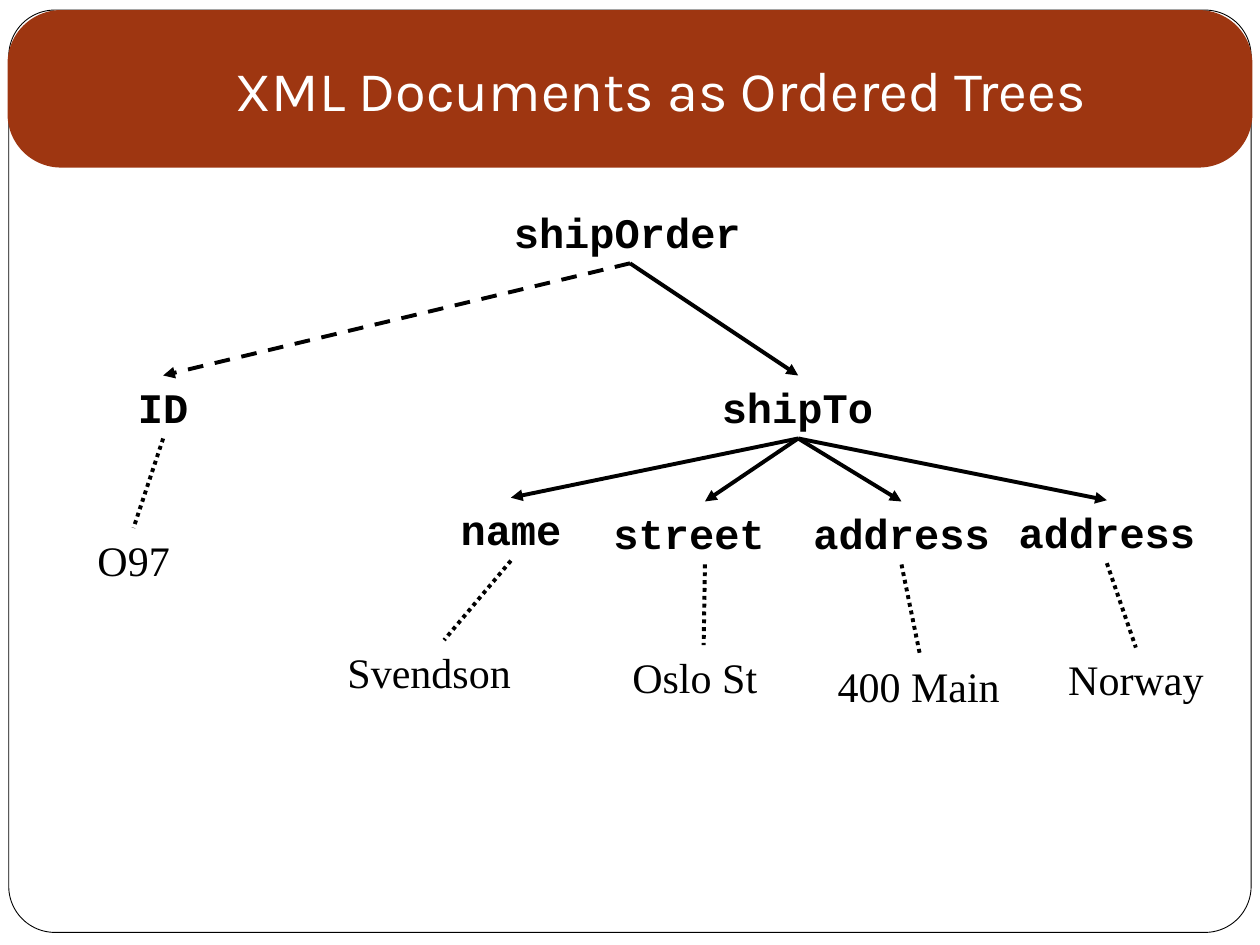
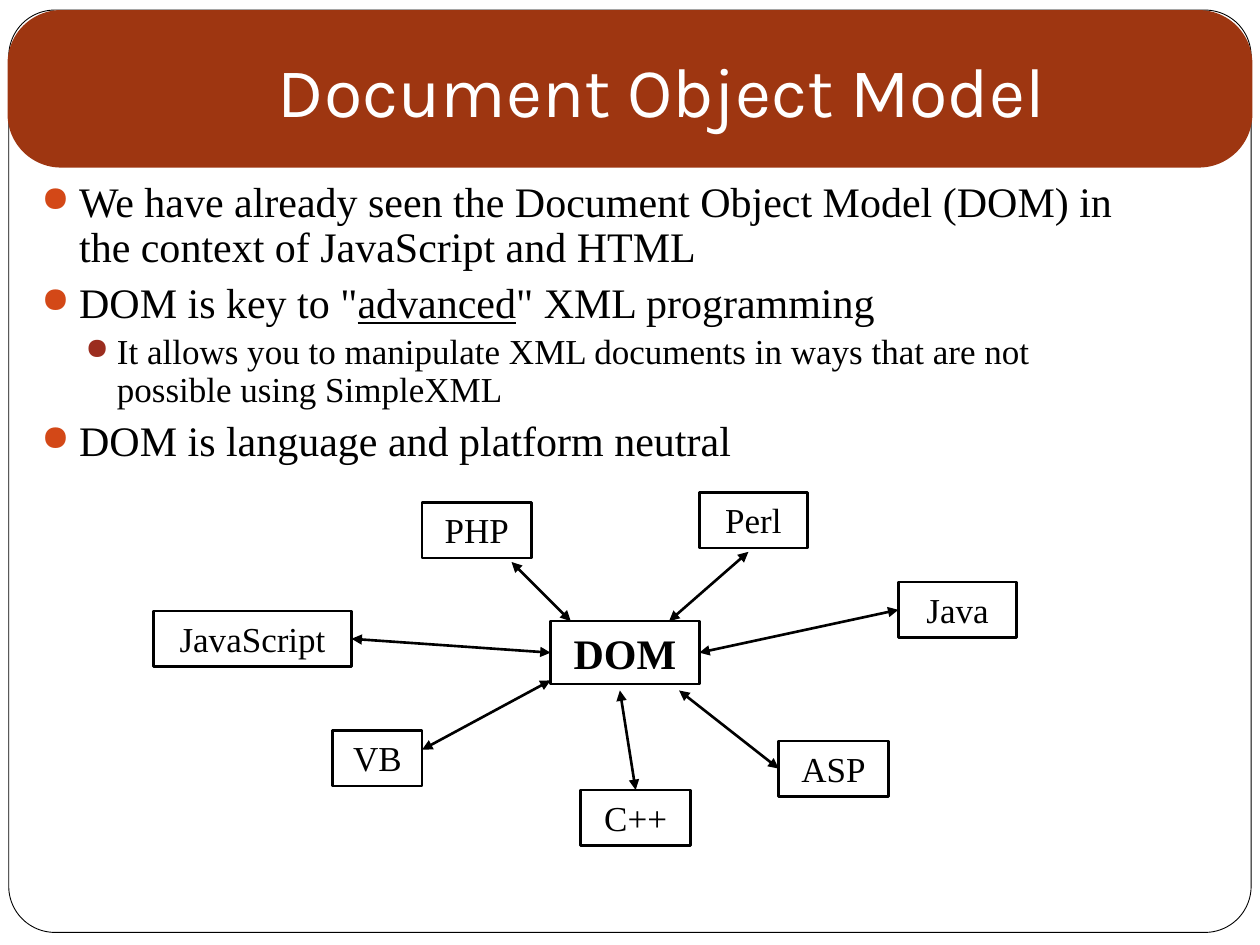
from dataclasses import dataclass
from typing import Any, NamedTuple, Optional

import lxml.etree
import pptx
import pptx.dml.color
import pptx.enum.dml
import pptx.enum.shapes
import pptx.enum.text
import pptx.oxml.ns
import pptx.util

SCALE = 9144  # EMU in one px, 100 px to the inch
TOP, LEFT, BOTTOM, RIGHT = range(4)

Align = pptx.enum.text.PP_ALIGN
Dash = pptx.enum.dml.MSO_LINE
Form = pptx.enum.shapes.MSO_SHAPE


@dataclass(frozen=True)
class Theme:
    ink: str = "000000"
    paper: str = "FFFFFF"
    band: str = "9E3611"
    dots: tuple[str, str] = ("D34817", "9B2D1F")
    head: str = "Karla"
    body: str = "Times New Roman"
    code: str = "Courier New"
    large: int = 24
    small: int = 20
    frame: float = 0.5
    thin: float = 1.5
    thick: float = 2.25


THEME = Theme()


class Area(NamedTuple):
    x: int
    y: int
    w: int
    h: int


class Node(NamedTuple):
    """A tree label; a leaf holds a value, any other node a tag."""
    key: str
    text: str
    area: Area
    above: str = ""
    leaf: bool = False
    align: Any = Align.CENTER
    dash: Any = None


class Box(NamedTuple):
    text: str
    area: Area


class Link(NamedTuple):
    """A two-way arrow; a named box and side join that end."""
    start: tuple[int, int]
    end: tuple[int, int]
    tail: Optional[tuple[str, int]] = None
    tip: Optional[tuple[str, int]] = None


class Point(NamedTuple):
    words: tuple[str, ...]
    level: int = 0


FRAME = Area(7, 8, 986, 732)
BAND = Area(6, 8, 988, 125)
TITLE = Area(100, 11, 850, 125)
LIST = Area(23, 139, 900, 276)

NODES = [
    Node("order", "shipOrder", Area(398, 159, 204, 50), align=Align.LEFT),
    Node("id", "ID", Area(43, 298, 173, 50), "order", dash=Dash.DASH),
    Node("to", "shipTo", Area(563, 298, 141, 50), "order", align=Align.LEFT),
    Node("name", "name", Area(311, 395, 189, 50), "to"),
    Node("street", "street", Area(477, 398, 165, 50), "to", align=Align.LEFT),
    Node("first", "address", Area(633, 398, 165, 50), "to"),
    Node("last", "address", Area(796, 397, 165, 50), "to"),
    Node("code", "O97", Area(35, 419, 142, 50), "id", True),
    Node("who", "Svendson", Area(266, 508, 173, 50), "name", True, Align.LEFT),
    Node("road", "Oslo St", Area(492, 512, 133, 50), "street", True, Align.LEFT),
    Node("house", "400 Main", Area(655, 519, 150, 50), "first", True, Align.LEFT),
    Node("land", "Norway", Area(811, 514, 181, 50), "last", True),
]

POINTS = [
    Point(("We have already seen the Document Object Model (DOM) in "
           "the context of JavaScript and HTML",)),
    Point(('DOM is key to "', "advanced", '" XML programming')),
    Point(("It allows you to manipulate XML documents in ways that are not "
           "possible using SimpleXML",), 1),
    Point(("DOM is language and platform neutral",)),
]

HUB = Box("DOM", Area(437, 493, 118, 50))
BOXES = [
    HUB,
    Box("PHP", Area(335, 399, 87, 44)),
    Box("ASP", Area(618, 588, 87, 44)),
    Box("Java", Area(713, 462, 94, 44)),
    Box("JavaScript", Area(122, 485, 157, 44)),
    Box("C++", Area(461, 627, 87, 44)),
    Box("VB", Area(264, 580, 71, 44)),
    Box("Perl", Area(555, 391, 86, 44)),
]

LINKS = [
    Link((406, 446), (453, 493)),
    Link((492, 548), (508, 627), tip=("C++", TOP)),
    Link((335, 595), (437, 540)),
    Link((280, 509), (437, 517), ("JavaScript", RIGHT), ("DOM", LEFT)),
    Link((539, 548), (618, 611), tip=("ASP", LEFT)),
    Link((713, 485), (555, 517), ("Java", LEFT), ("DOM", RIGHT)),
    Link((594, 438), (531, 493)),
]


def px(*marks: int) -> list[int]:
    return [mark * SCALE for mark in marks]


def tint(code: str) -> Any:
    return pptx.dml.color.RGBColor.from_string(code)


def add(root: Any, tag: str, **attrs: str) -> Any:
    return lxml.etree.SubElement(root, pptx.oxml.ns.qn(tag), attrs)


def write(para: Any, text: str, *, size: int = THEME.large, font: str = THEME.body,
          ink: str = THEME.ink, bold: bool = False, under: bool = False,
          align: Any = None) -> None:
    """Add one run of formatted text to a paragraph."""
    if align is not None:
        para.alignment = align
    run = para.add_run()
    run.text = text
    run.font.size = pptx.util.Pt(size)
    run.font.name = font
    run.font.bold = bold
    run.font.underline = under
    run.font.color.rgb = tint(ink)


def label(slide: Any, area: Area, text: str, **style: Any) -> Any:
    box = slide.shapes.add_textbox(*px(*area))
    box.text_frame.word_wrap = True
    write(box.text_frame.paragraphs[0], text, **style)
    return box


def shape(slide: Any, form: Any, area: Area, fill: str = "", line: float = 0) -> Any:
    item = slide.shapes.add_shape(form, *px(*area))
    item.shadow.inherit = False
    if fill:
        item.fill.solid()
        item.fill.fore_color.rgb = tint(fill)
    else:
        item.fill.background()
    if line:
        item.line.color.rgb = tint(THEME.ink)
        item.line.width = pptx.util.Pt(line)
    else:
        item.line.fill.background()
    return item


def wire(slide: Any, start: tuple[int, int], end: tuple[int, int], width: float,
         *, dash: Any = None, head: bool = False, tail: bool = False) -> Any:
    kind = pptx.enum.shapes.MSO_CONNECTOR.STRAIGHT
    item = slide.shapes.add_connector(kind, *px(*start, *end))
    item.line.color.rgb = tint(THEME.ink)
    item.line.width = pptx.util.Pt(width)
    if dash is not None:
        item.line.dash_style = dash
    for tag, shown in (("a:headEnd", head), ("a:tailEnd", tail)):
        if shown:
            add(item.get_or_add_ln(), tag, type="triangle")
    add(item.element.spPr, "a:effectLst")
    return item


def begin(deck: Any, title: str, size: int) -> Any:
    """Add a slide with the shared frame, band and title."""
    slide = deck.slides.add_slide(deck.slide_layouts[6])
    shape(slide, Form.ROUNDED_RECTANGLE, FRAME, THEME.paper,
          THEME.frame).adjustments[0] = 0.05
    shape(slide, Form.ROUNDED_RECTANGLE, BAND, THEME.band).adjustments[0] = 0.34
    box = label(slide, TITLE, title, size=size, font=THEME.head,
                ink=THEME.paper, align=Align.CENTER)
    box.text_frame.vertical_anchor = pptx.enum.text.MSO_ANCHOR.MIDDLE
    box.text_frame.margin_bottom = 10 * SCALE
    return slide


def tree(slide: Any) -> None:
    spots = {}
    for node in NODES:
        font = THEME.body if node.leaf else THEME.code
        spots[node.key] = label(slide, node.area, node.text, font=font,
                                bold=not node.leaf, align=node.align)
    for node in NODES:
        if node.above:
            dash = Dash.ROUND_DOT if node.leaf else node.dash
            item = wire(slide, (0, 0), (0, 0), THEME.thick, dash=dash,
                        tail=not node.leaf)
            item.begin_connect(spots[node.above], BOTTOM)
            item.end_connect(spots[node.key], TOP)


def bullet(para: Any, level: int) -> None:
    indent, hang = ((30, 30), (60, 25))[level]
    para.level = level
    props = para._p.get_or_add_pPr()
    props.set("marL", str(indent * SCALE))
    props.set("indent", str(-hang * SCALE))
    add(add(props, "a:buClr"), "a:srgbClr", val=THEME.dots[level])
    add(props, "a:buSzPct", val="85000")
    add(props, "a:buChar", char="●")


def points(slide: Any) -> None:
    frame = slide.shapes.add_textbox(*px(*LIST)).text_frame
    frame.word_wrap = True
    for row, point in enumerate(POINTS):
        para = frame.add_paragraph() if row else frame.paragraphs[0]
        bullet(para, point.level)
        para.line_spacing = 0.9
        if row:
            para.space_before = pptx.util.Pt((5.8, 3.7)[point.level])
        for words in point.words:
            write(para, words, size=(THEME.large, THEME.small)[point.level],
                  under=words == "advanced")


def hub(slide: Any) -> None:
    """Draw the DOM box, the languages round it and their arrows."""
    spots = {}
    for box in BOXES:
        item = shape(slide, Form.RECTANGLE, box.area, line=THEME.thin)
        frame = item.text_frame
        frame.word_wrap = True
        frame.vertical_anchor = pptx.enum.text.MSO_ANCHOR.TOP
        main = box is HUB
        write(frame.paragraphs[0], box.text, bold=main, align=Align.CENTER,
              size=THEME.large if main else THEME.small)
        spots[box.text] = item
    for link in LINKS:
        item = wire(slide, link.start, link.end, THEME.thin, head=True, tail=True)
        if link.tail:
            item.begin_connect(spots[link.tail[0]], link.tail[1])
        if link.tip:
            item.end_connect(spots[link.tip[0]], link.tip[1])


def main() -> None:
    deck = pptx.Presentation()
    deck.slide_width, deck.slide_height = px(1000, 750)
    tree(begin(deck, "XML Documents as Ordered Trees", 32))
    model = begin(deck, "Document Object Model", 40)
    points(model)
    hub(model)
    deck.save("out.pptx")


if __name__ == "__main__":
    main()
